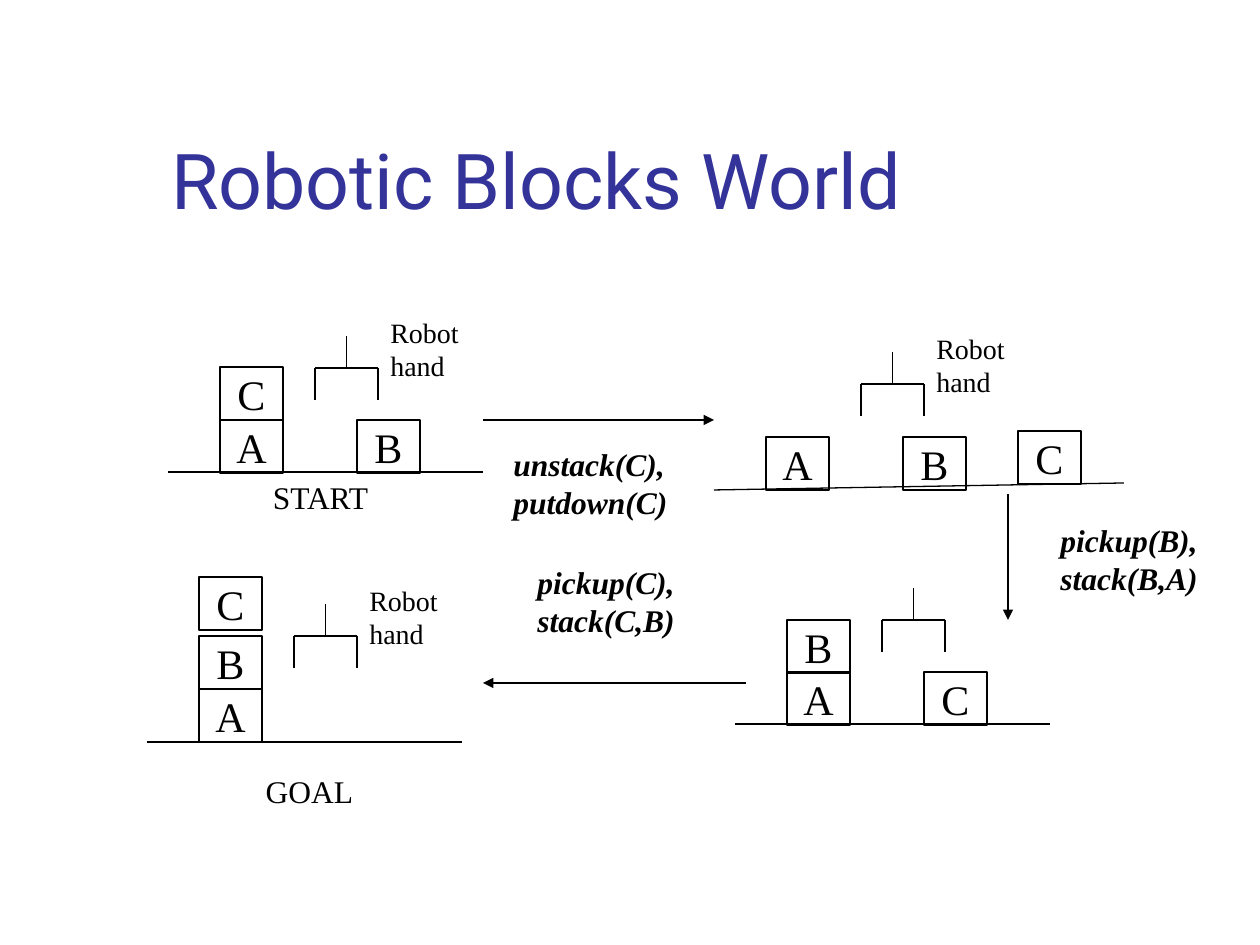
"""Build the Robotic Blocks World slide with four block states and the moves between them."""
import pptx
import pptx.dml.color
import pptx.enum.shapes
import pptx.enum.text
import pptx.oxml
import pptx.oxml.ns
import pptx.util

PX = 914400 / 126
COLORS = {"title": "333399", "ink": "000000"}
SERIF = "Times New Roman"
BLOCK_W, BLOCK_H = 63, 53
HAND_W, HAND_H = 63, 32
ALIGN = pptx.enum.text.PP_ALIGN
ANCHOR = pptx.enum.text.MSO_ANCHOR

deck = pptx.Presentation()
deck.slide_width = pptx.util.Inches(10)
deck.slide_height = pptx.util.Inches(7.5)
page = deck.slides.add_slide(deck.slide_layouts[6])


def add_line(x1, y1, x2, y2, arrow=False):
    ends = [round(v * PX) for v in (x1, y1, x2, y2)]
    line = page.shapes.add_connector(pptx.enum.shapes.MSO_CONNECTOR.STRAIGHT, *ends)
    line.line.width = pptx.util.Pt(0.75)
    line.line.color.rgb = pptx.dml.color.RGBColor.from_string(COLORS["ink"])
    if arrow:
        head = pptx.oxml.ns.qn("a:tailEnd")
        line.line._get_or_add_ln().append(line._element.makeelement(head, {"type": "triangle"}))
    effects = pptx.oxml.ns.qn("a:effectLst")
    line._element.spPr.append(line._element.makeelement(effects, {}))


def write(box, lines, size, align=ALIGN.LEFT, anchor=ANCHOR.TOP, font=SERIF, color="ink", strong=None):
    frame = box.text_frame
    frame.word_wrap = True
    frame.vertical_anchor = anchor
    frame.text = "\n".join(lines)
    for para in frame.paragraphs:
        para.alignment = align
        para.font.name = font
        para.font.size = pptx.util.Pt(size)
        para.font.bold = para.font.italic = strong
        para.font.color.rgb = pptx.dml.color.RGBColor.from_string(COLORS[color])


title = page.shapes.add_textbox(*[round(v * PX) for v in (159, 29, 1074, 202)])
write(title, ["Robotic Blocks World"], 44, anchor=ANCHOR.BOTTOM, font="Roboto", color="title")

states = [
    {"ground": (168, 472, 483, 472), "hand": (315, 368), "labelled": True,
     "blocks": [("A", 220, 420), ("C", 220, 367), ("B", 357, 420)]},
    {"ground": (714, 490, 1124, 483), "hand": (861, 384), "labelled": True,
     "blocks": [("A", 766, 437), ("C", 1018, 431), ("B", 903, 437)]},
    {"ground": (147, 742, 462, 742), "hand": (294, 636), "labelled": True,
     "blocks": [("A", 199, 689), ("B", 199, 636), ("C", 199, 577)]},
    {"ground": (735, 724, 1050, 724), "hand": (882, 620), "labelled": False,
     "blocks": [("A", 787, 672), ("B", 787, 620), ("C", 924, 672)]},
]
for state in states:
    add_line(*state["ground"])
    for letter, left, top in state["blocks"]:
        block = page.shapes.add_shape(
            pptx.enum.shapes.MSO_SHAPE.RECTANGLE,
            *[round(v * PX) for v in (left, top, BLOCK_W, BLOCK_H)])
        block.shadow.inherit = False
        block.fill.background()
        block.line.width = pptx.util.Pt(0.75)
        block.line.color.rgb = pptx.dml.color.RGBColor.from_string(COLORS["ink"])
        write(block, [letter], 24, ALIGN.CENTER, ANCHOR.MIDDLE)
        block.text_frame.word_wrap = False
    left, bar = state["hand"]
    right, middle = left + HAND_W, left + HAND_W / 2
    add_line(left, bar, left, bar + HAND_H)
    add_line(left, bar, right, bar)
    add_line(right, bar, right, bar + HAND_H)
    add_line(middle, bar - HAND_H, middle, bar)
    if state["labelled"]:
        label = page.shapes.add_textbox(*[round(v * PX) for v in (right, bar - 59, 126, 81)])
        write(label, ["Robot hand"], 16)

for name, left, top in [("START", 231, 472), ("GOAL", 220, 766)]:
    caption = page.shapes.add_textbox(*[round(v * PX) for v in (left, top, 179, 50)])
    write(caption, [name], 18, ALIGN.CENTER)

moves = [
    ((483, 420, 714, 420), (501, 439, 212, 88), ["unstack(C),", "putdown(C)"]),
    ((1008, 494, 1008, 620), (1048, 515, 170, 88), ["pickup(B),", "stack(B,A)"]),
    ((746, 683, 483, 683), (525, 557, 170, 88), ["pickup(C),", "stack(C,B)"]),
]
for arrow, area, steps in moves:
    add_line(*arrow, arrow=True)
    box = page.shapes.add_textbox(*[round(v * PX) for v in area])
    write(box, steps, 18, strong=True)

deck.save("out.pptx")
